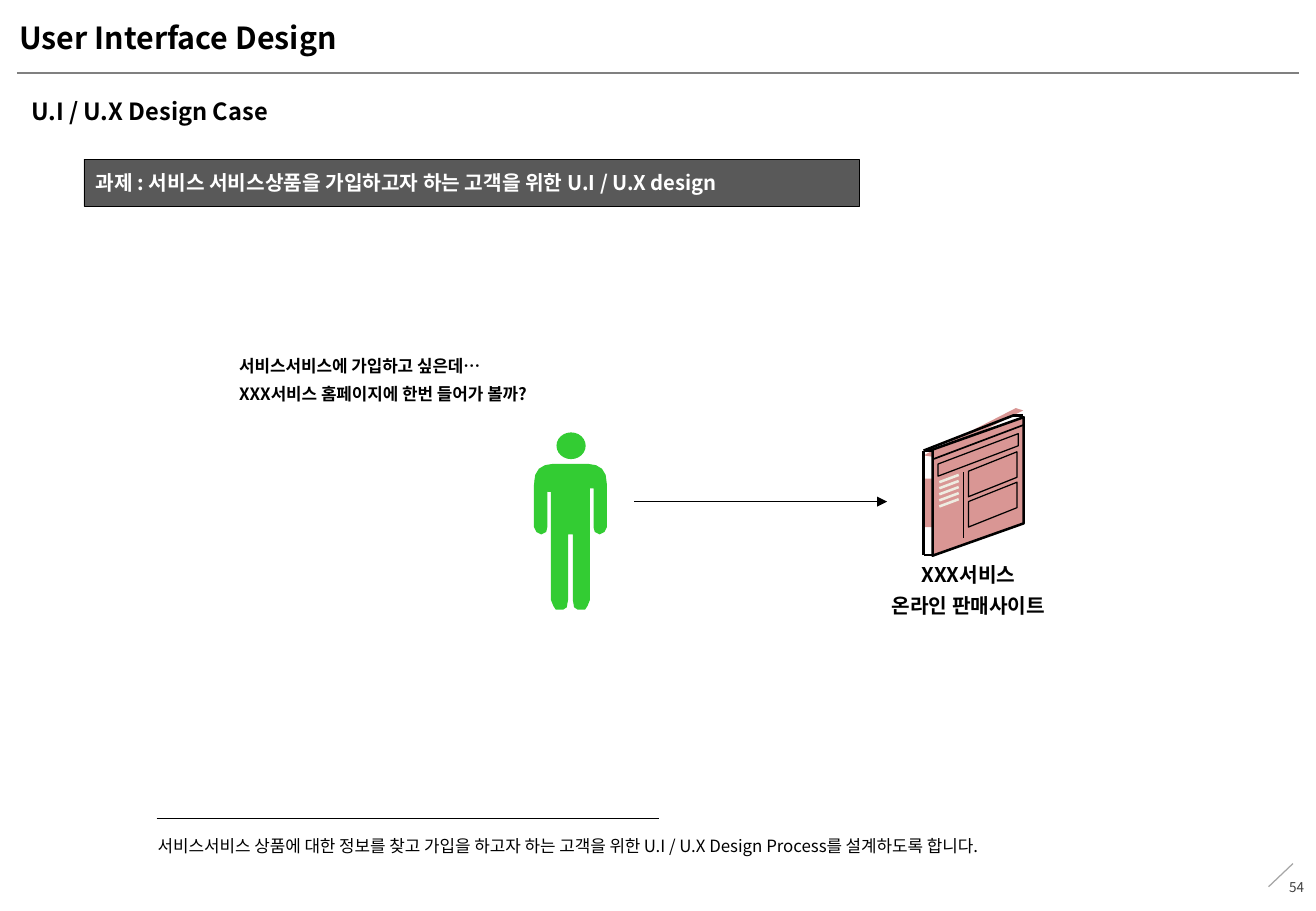
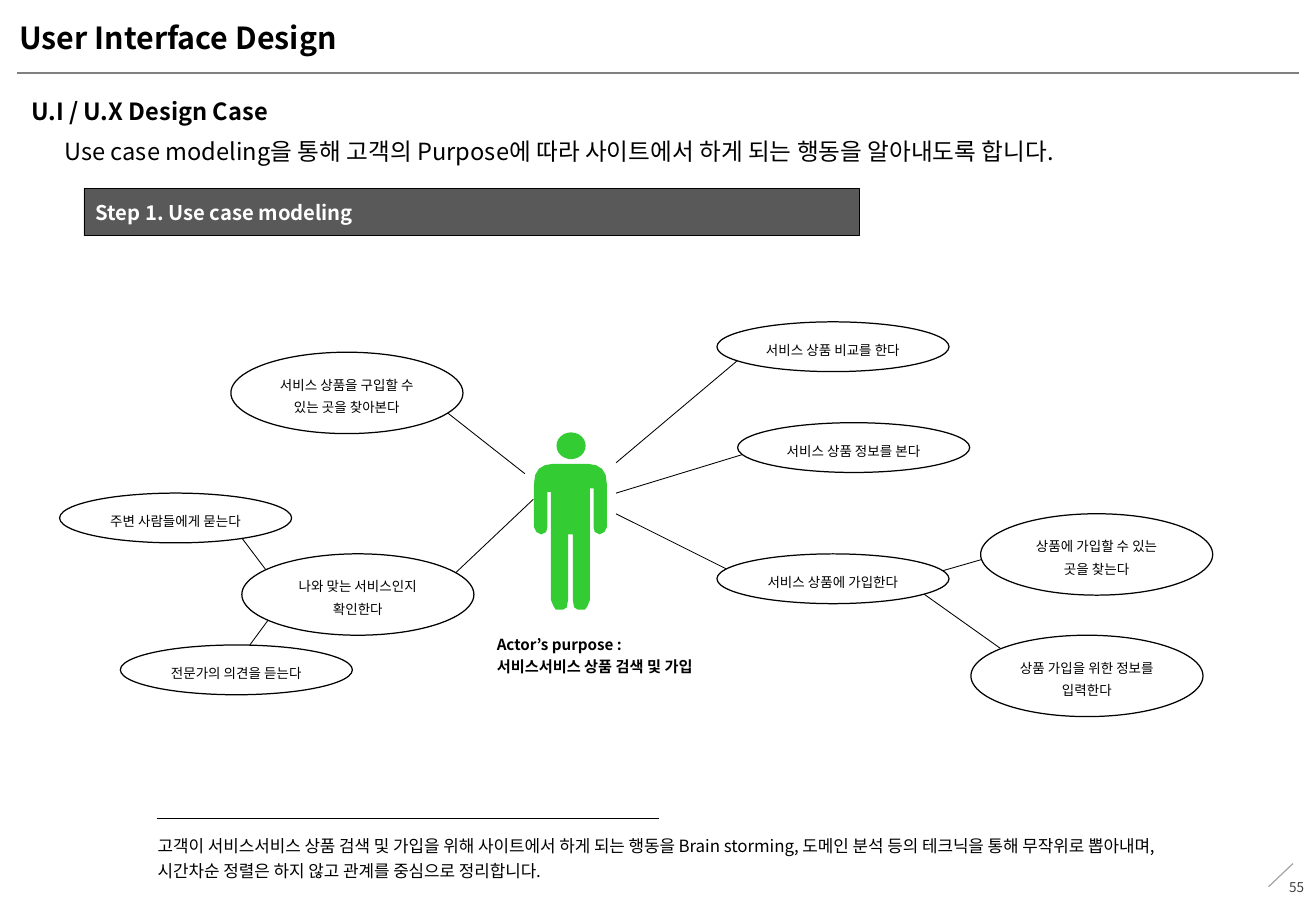
from pptx import Presentation
from pptx import util as u
from pptx.dml.color import RGBColor
from pptx.enum import shapes, text
from pptx.oxml.ns import qn
from lxml import etree

FONT = "Noto Sans CJK KR"
BLACK, WHITE, CHARCOAL = "000000", "FFFFFF", "404040"
BAND, RULE, SLASH = "595959", "808080", "A6A6A6"
GREEN, PINK, CREAM = "33CC33", "D99694", "EEECE1"
LEFT, CENTER, RIGHT = text.PP_ALIGN.LEFT, text.PP_ALIGN.CENTER, text.PP_ALIGN.RIGHT
TOP, MIDDLE = text.MSO_ANCHOR.TOP, text.MSO_ANCHOR.MIDDLE
OVAL, RECT = shapes.MSO_SHAPE.OVAL, shapes.MSO_SHAPE.RECTANGLE
SLANT = shapes.MSO_SHAPE.PARALLELOGRAM


def rgb(value):
    return RGBColor.from_string(value)


def inches(*values):
    return [u.Inches(v) for v in values]


def write(sp, lines, size, color=BLACK, bold=False, align=LEFT, anchor=TOP,
          ins=(0.1, 0.05), spacing=1.0, before=0):
    tf = sp.text_frame
    tf.word_wrap = True
    tf.vertical_anchor = anchor
    tf.margin_left = tf.margin_right = u.Inches(ins[0])
    tf.margin_top = tf.margin_bottom = u.Inches(ins[1])
    for i, line in enumerate(lines):
        p = tf.add_paragraph() if i else tf.paragraphs[0]
        p.alignment = align
        p.line_spacing = spacing
        if i and before:
            p.space_before = u.Pt(before)
        for j, part in enumerate(line.split("\n")):
            if j:
                p.add_line_break()
            r = p.add_run()
            r.text = part
            r.font.name = FONT
            r.font.size = u.Pt(size)
            r.font.bold = bold
            r.font.color.rgb = rgb(color)
            ea = etree.SubElement(r.font._element, qn("a:ea"))
            ea.set("typeface", FONT)


def add_text(s, box, lines, size, **style):
    write(s.shapes.add_textbox(*inches(*box)), lines, size, **style)


def paint(sp, fill, line=None, width=0.75):
    sp.shadow.inherit = False
    sp.fill.solid()
    sp.fill.fore_color.rgb = rgb(fill)
    if line:
        sp.line.color.rgb = rgb(line)
        sp.line.width = u.Pt(width)
    else:
        sp.line.fill.background()
    return sp


def add_preset(s, kind, box, fill, line=None, width=0.75):
    return paint(s.shapes.add_shape(kind, *inches(*box)), fill, line, width)


def add_outline(s, x, y, points, fill, line=None):
    points = [inches(x + dx, y + dy) for dx, dy in points]
    builder = s.shapes.build_freeform(*points[0])
    builder.add_line_segments(points[1:], close=True)
    return paint(builder.convert_to_shape(), fill, line)


def add_line(s, x1, y1, x2, y2, color=BLACK, width=0.75, arrow=False):
    cx = s.shapes.add_connector(shapes.MSO_CONNECTOR.STRAIGHT, *inches(x1, y1, x2, y2))
    cx.line.color.rgb = rgb(color)
    cx.line.width = u.Pt(width)
    spPr = cx._element.spPr
    if arrow:
        etree.SubElement(spPr.find(qn("a:ln")), qn("a:tailEnd")).set("type", "triangle")
    etree.SubElement(spPr, qn("a:effectLst"))


def add_page(prs, number):
    s = prs.slides.add_slide(prs.slide_layouts[6])
    add_line(s, 0.14, 0.6, 10.69, 0.6, RULE)
    add_line(s, 10.64, 7.11, 10.44, 7.3, SLASH)
    add_text(s, (10.22, 7.1, 0.61, 0.4), [str(number)], 8, color=CHARCOAL,
             align=RIGHT, anchor=MIDDLE)
    add_text(s, (0.16, 0.1, 8.09, 0.42), ["User Interface Design"], 18,
             bold=True, ins=(0, 0.06))
    add_text(s, (0.16, 0.75, 10.54, 0.34), ["U.I / U.X Design Case"], 14, bold=True)
    return s


def add_band(s, y, label):
    sp = add_preset(s, RECT, (0.69, y, 6.38, 0.39), BAND, BLACK, 0.25)
    write(sp, [label], 12, color=WHITE, bold=True, anchor=MIDDLE, ins=(0.1, 0))


def add_footnote(s, note, x=1.2, y=6.74, w=8.4):
    add_line(s, x + 0.09, y, x + 4.22, y)
    add_text(s, (x, y + 0.06, w, 0.5), [note], 10, spacing=1.2)


def add_person(s, x=4.4, y=3.56):
    mid = 0.295
    half = [(0.15, 0.26), (0.21, 0.27), (0.26, 0.3), (0.29, 0.35), (0.3, 0.43),
            (0.3, 0.78), (0.28, 0.82), (0.24, 0.84), (0.2, 0.82), (0.19, 0.78),
            (0.19, 0.46), (0.16, 0.46), (0.16, 1.38), (0.14, 1.43), (0.12, 1.46),
            (0.06, 1.46), (0.03, 1.44), (0.02, 1.38), (0.02, 0.84)]
    body = [(mid + dx, dy) for dx, dy in half]
    body += [(mid - dx, dy) for dx, dy in reversed(half)]
    add_preset(s, OVAL, (x + 0.18, y, 0.24, 0.22), GREEN)
    add_outline(s, x, y, body, GREEN)
    add_preset(s, OVAL, (x, y + 0.31, 0.24, 0.18), GREEN)


def add_booklet(s, x=7.6, y=3.36):
    def stroke(x1, y1, x2, y2, color=BLACK, width=1.5):
        add_line(s, x + x1, y + y1, x + x2, y + y2, color, width)

    def panel(left, right, top, height, rise):
        points = [(right, top), (right, top + height),
                  (left, top + height + rise), (left, top + rise)]
        add_outline(s, x, y, points, PINK, BLACK)

    add_preset(s, RECT, (x, y + 0.58, 0.08, 0.4), PINK)
    add_outline(s, x, y, [(0.82, 0.02), (0.07, 0.4), (0, 0.39), (0.76, 0)], PINK)
    cover = add_preset(s, SLANT, (x - 0.12, y + 0.27, 1.14, 0.75), PINK, BLACK, 1.5)
    cover.adjustments[0] = 0.355
    cover.rotation = 90
    cover._element.spPr.xfrm.set("flipH", "1")
    stroke(0.82, 0.14, 0.08, 0.42, width=1)
    for edge in [(0.07, 1.21, 0, 1.21), (0.07, 0.35, 0, 0.35), (0, 1.21, 0, 0.35),
                 (0.82, 0.06, 0.74, 0.06), (0.74, 0.06, 0, 0.35)]:
        stroke(*edge)
    panel(0.12, 0.78, 0.21, 0.1, 0.25)
    stroke(0.33, 0.53, 0.33, 1.07, width=0.75)
    for i in range(5):
        top = 0.55 + 0.05 * i
        stroke(0.13, top + 0.06, 0.29, top, CREAM)
    for top in (0.36, 0.61):
        panel(0.37, 0.77, top, 0.21, 0.16)


def add_use_cases(s, x=0.49, y=2.65):
    links = [(5.66, 0.25, 4.58, 1.16), (5.66, 1.08, 4.58, 1.41),
             (5.58, 2.08, 4.58, 1.58), (7.83, 2.75, 7, 2.16),
             (7.75, 1.91, 7.16, 2.08), (3.08, 0.66, 3.83, 1.25),
             (3.16, 2.16, 3.9, 1.46), (1.75, 2.11, 1.41, 1.66),
             (1.75, 2.41, 1.5, 2.75)]
    cases = [(1.41, 0.25, 2, "서비스 상품을 구입할 수 있는 곳을 찾아본다"),
             (5.58, 0.83, 1, "서비스 상품 정보를 본다"),
             (5.41, 0, 1, "서비스 상품 비교를 한다"),
             (1.5, 1.91, 2, "나와 맞는 서비스인지\n확인한다"),
             (0.5, 2.66, 1, "전문가의 의견을 듣는다"),
             (0, 1.41, 1, "주변 사람들에게 묻는다"),
             (5.41, 1.91, 1, "서비스 상품에 가입한다"),
             (7.58, 1.58, 2, "상품에 가입할 수 있는 곳을 찾는다"),
             (7.5, 2.58, 2, "상품 가입을 위한 정보를 입력한다")]
    heights = {1: 0.41, 2: 0.67}
    for x1, y1, x2, y2 in links:
        add_line(s, x + x1, y + y1, x + x2, y + y2, width=0.5)
    for dx, dy, rows, label in cases:
        sp = add_preset(s, OVAL, (x + dx, y + dy, 1.91, heights[rows]), WHITE, BLACK)
        write(sp, [label], 8, align=CENTER, anchor=MIDDLE, spacing=1.4)


def build_task(prs):
    s = add_page(prs, 54)
    add_band(s, 1.31, "과제 : 서비스 서비스상품을 가입하고자 하는 고객을 위한 U.I / U.X design")
    add_text(s, (1.87, 2.88, 2.77, 0.52),
             ["서비스서비스에 가입하고 싶은데…", "XXX서비스 홈페이지에 한번 들어가 볼까?"],
             10, bold=True, before=4.5)
    add_text(s, (7.24, 4.56, 1.46, 0.59), ["XXX서비스", "온라인 판매사이트"], 12,
             bold=True, align=CENTER, ins=(0, 0.05), spacing=1.1, before=2.4)
    add_line(s, 5.22, 4.13, 7.3, 4.13, width=1, arrow=True)
    add_footnote(s, "서비스서비스 상품에 대한 정보를 찾고 가입을 하고자 하는 고객을 위한 "
                    "U.I / U.X Design Process를 설계하도록 합니다.")
    add_booklet(s)
    add_person(s)


def build_modeling(prs):
    s = add_page(prs, 55)
    add_band(s, 1.55, "Step 1. Use case modeling")
    add_footnote(s, "고객이 서비스서비스 상품 검색 및 가입을 위해 사이트에서 하게 되는 행동을 "
                    "Brain storming, 도메인 분석 등의 테크닉을 통해 무작위로 뽑아내며, "
                    "시간차순 정렬은 하지 않고 관계를 중심으로 정리합니다.")
    add_text(s, (0.53, 1.08, 9.76, 0.34),
             ["Use case modeling을 통해 고객의 Purpose에 따라 사이트에서 하게 되는 "
              "행동을 알아내도록 합니다."], 14, ins=(0, 0.05))
    add_text(s, (3.99, 5.15, 2, 0.46),
             ["Actor’s purpose :", "서비스서비스 상품 검색 및 가입"], 9,
             bold=True, spacing=1.2)
    add_use_cases(s)
    add_person(s)


def main():
    prs = Presentation()
    prs.slide_width, prs.slide_height = inches(10.83, 7.5)
    build_task(prs)
    build_modeling(prs)
    prs.save("out.pptx")


if __name__ == "__main__":
    main()
